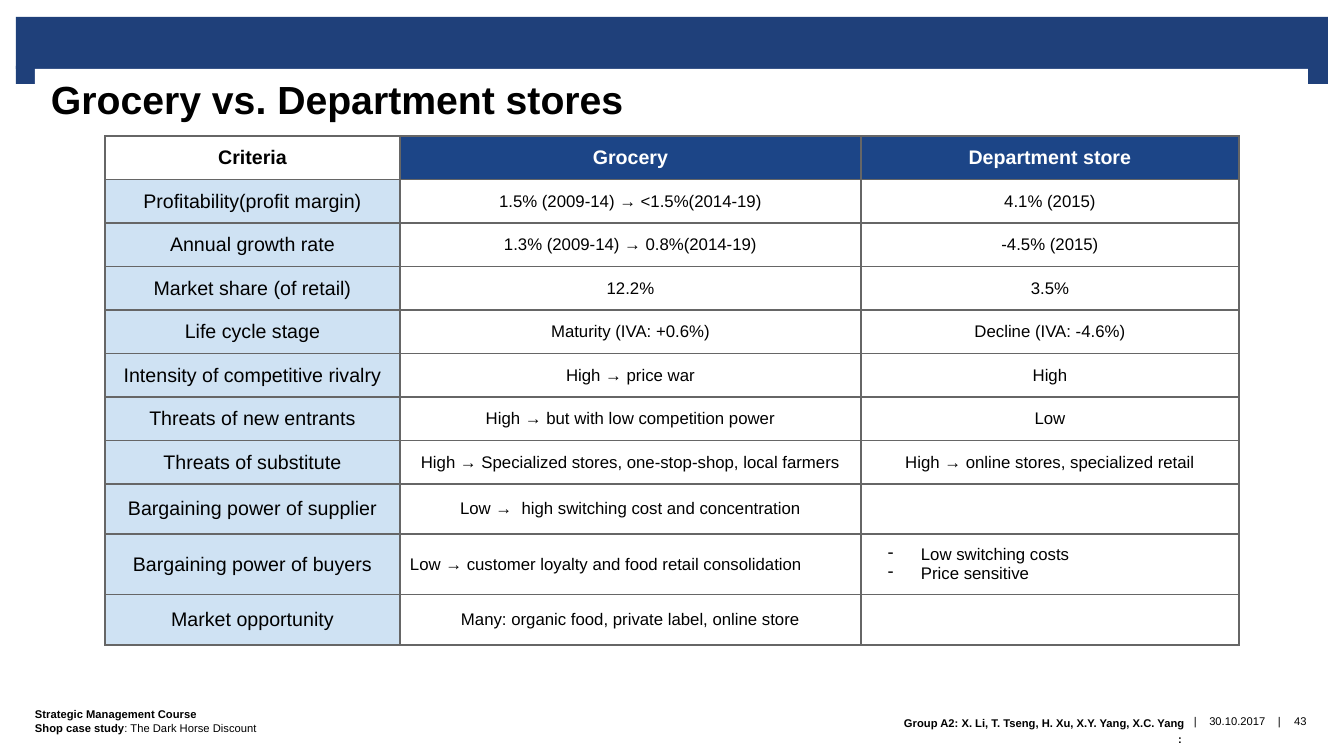
import pptx
import pptx.util
from lxml import etree
from pptx.dml.color import RGBColor
from pptx.enum.shapes import MSO_SHAPE
from pptx.enum.text import MSO_ANCHOR, PP_ALIGN
from pptx.oxml.ns import qn

PX = 914400 / 100.8
COLORS = {"band": "1F407A", "header": "1C4587", "criteria": "CFE2F3",
          "grid": "666666", "text": "000000", "paper": "FFFFFF"}
LEFT, CENTER, RIGHT = PP_ALIGN.LEFT, PP_ALIGN.CENTER, PP_ALIGN.RIGHT

TITLE = "Grocery vs. Department stores"
HEADINGS = ("Criteria", "Grocery", "Department store")
COMPARISON = [
    ("Profitability(profit margin)", "1.5% (2009-14) → <1.5%(2014-19)", "4.1% (2015)"),
    ("Annual growth rate", "1.3% (2009-14) → 0.8%(2014-19)", "-4.5% (2015)"),
    ("Market share (of retail)", "12.2%", "3.5%"),
    ("Life cycle stage", "Maturity (IVA: +0.6%)", "Decline (IVA: -4.6%)"),
    ("Intensity of competitive rivalry", "High → price war", "High"),
    ("Threats of new entrants", "High → but with low competition power", "Low"),
    ("Threats of substitute", "High → Specialized stores, one-stop-shop, local farmers",
     "High → online stores, specialized retail"),
    ("Bargaining power of supplier", "Low →  high switching cost and concentration", ""),
    ("Bargaining power of buyers", "Low → customer loyalty and food retail consolidation",
     ["Low switching costs", "Price sensitive"]),
    ("Market opportunity", "Many: organic food, private label, online store", ""),
]
LEFT_ALIGNED = "Low → customer loyalty and food retail consolidation"
COLUMN_WIDTHS = (295, 461, 378)
ROW_HEIGHTS = [42] * 8 + [49, 58, 49]

BAND_PARTS = [(16, 17, 1312, 52), (16, 66, 20, 18), (1308, 66, 20, 18)]
# Paragraphs are lists of (text, bold); a text of None is a line break.
COURSE = [[("Strategic Management Course", True)],
          [("Shop case study", True), (": The Dark Horse Discount", False)]]
GROUP = [[("Group A2: X. Li, T. Tseng, H. Xu, X.Y. Yang, X.C. Yang", True),
          (None, True), (": ", True)]]
FOOTER = [  # box, side inset, alignment, line spacing, paragraphs
    ((1272, 695, 15, 51), 4, CENTER, None, [[("|", False)]]),
    ((1188, 695, 15, 51), 4, CENTER, None, [[("|", False)]]),
    ((35, 696, 636, 50), 0, LEFT, None, COURSE),
    ((549, 705, 636, 50), 0, RIGHT, 1.15, GROUP),
    ((1281, 696, 39, 51), 0, CENTER, None, [[("43", False)]]),
    ((1204, 696, 67, 51), 0, CENTER, None, [[("30.10.2017", False)]]),
]


def px(length):
    return round(length * PX)


def rgb(name):
    return RGBColor.from_string(COLORS[name])


def style(font, size, bold=False, color="text"):
    font.name = "Arial"
    font.size = pptx.util.Pt(size)
    font.bold = bold
    font.color.rgb = rgb(color)


def set_insets(holder, left, top, right, bottom):
    holder.margin_left, holder.margin_top = px(left), px(top)
    holder.margin_right, holder.margin_bottom = px(right), px(bottom)


def add_text(slide, box, insets, paragraphs, size, align=LEFT,
             anchor=MSO_ANCHOR.MIDDLE, spacing=None):
    textbox = slide.shapes.add_textbox(*map(px, box))
    frame = textbox.text_frame
    frame.word_wrap = True
    frame.vertical_anchor = anchor
    set_insets(frame, *insets)
    for i, pieces in enumerate(paragraphs):
        paragraph = frame.add_paragraph() if i else frame.paragraphs[0]
        paragraph.alignment = align
        if spacing:
            paragraph.line_spacing = spacing
        for text, bold in pieces:
            if text is None:
                paragraph.add_line_break()
                continue
            run = paragraph.add_run()
            run.text = text
            style(run.font, size, bold)
    return textbox


def draw_borders(cell):
    properties = cell._tc.get_or_add_tcPr()
    for side in ("a:lnL", "a:lnR", "a:lnT", "a:lnB"):
        line = etree.SubElement(properties, qn(side), w=str(pptx.util.Pt(1.5)))
        fill = etree.SubElement(line, qn("a:solidFill"))
        etree.SubElement(fill, qn("a:srgbClr"), val=COLORS["grid"])


def add_dash(paragraph):
    properties = paragraph._p.get_or_add_pPr()
    properties.set("marL", str(px(50)))
    properties.set("indent", str(px(-33)))
    etree.SubElement(properties, qn("a:buChar"), char="-")


def fill_cell(cell, content, row, column):
    is_header, is_criteria = row == 0, column == 0
    draw_borders(cell)
    set_insets(cell, 10, 10, 10, 10)
    cell.vertical_anchor = MSO_ANCHOR.MIDDLE
    if is_header and is_criteria:
        cell.fill.background()
    elif is_header or is_criteria:
        cell.fill.solid()
        cell.fill.fore_color.rgb = rgb("header" if is_header else "criteria")
    else:
        cell.fill.background()

    dashed = isinstance(content, list)
    cell.text_frame.text = "\n".join(content) if dashed else content
    for paragraph in cell.text_frame.paragraphs:
        if dashed:
            add_dash(paragraph)
        else:
            paragraph.alignment = LEFT if content == LEFT_ALIGNED else CENTER
        for run in paragraph.runs:
            style(run.font, 14 if is_header or is_criteria else 12, is_header,
                  "paper" if is_header and not is_criteria else "text")


def add_comparison(slide):
    rows = [HEADINGS] + COMPARISON
    table = slide.shapes.add_table(
        len(rows), len(HEADINGS), px(105), px(136),
        px(sum(COLUMN_WIDTHS)), px(sum(ROW_HEIGHTS))).table
    table.first_row = table.horz_banding = False
    for column, width in zip(table.columns, COLUMN_WIDTHS):
        column.width = px(width)
    for r, (height, contents) in enumerate(zip(ROW_HEIGHTS, rows)):
        table.rows[r].height = px(height)
        for c, content in enumerate(contents):
            fill_cell(table.cell(r, c), content, r, c)


def main():
    deck = pptx.Presentation()
    deck.slide_width, deck.slide_height = px(1344), px(756)
    slide = deck.slides.add_slide(deck.slide_layouts[6])

    for box in BAND_PARTS:
        part = slide.shapes.add_shape(MSO_SHAPE.RECTANGLE, *map(px, box))
        part.shadow.inherit = False
        part.fill.solid()
        part.fill.fore_color.rgb = rgb("band")
        part.line.fill.background()

    title = add_text(slide, (35, 69, 1273, 107), (16, 6, 16, 0),
                     [[(TITLE, True)]], 28, anchor=MSO_ANCHOR.TOP)
    title.fill.solid()
    title.fill.fore_color.rgb = rgb("paper")

    add_comparison(slide)
    for box, side, align, spacing, paragraphs in FOOTER:
        add_text(slide, box, (side, 5, side, 5), paragraphs, 8, align, spacing=spacing)
    deck.save("out.pptx")


if __name__ == "__main__":
    main()
